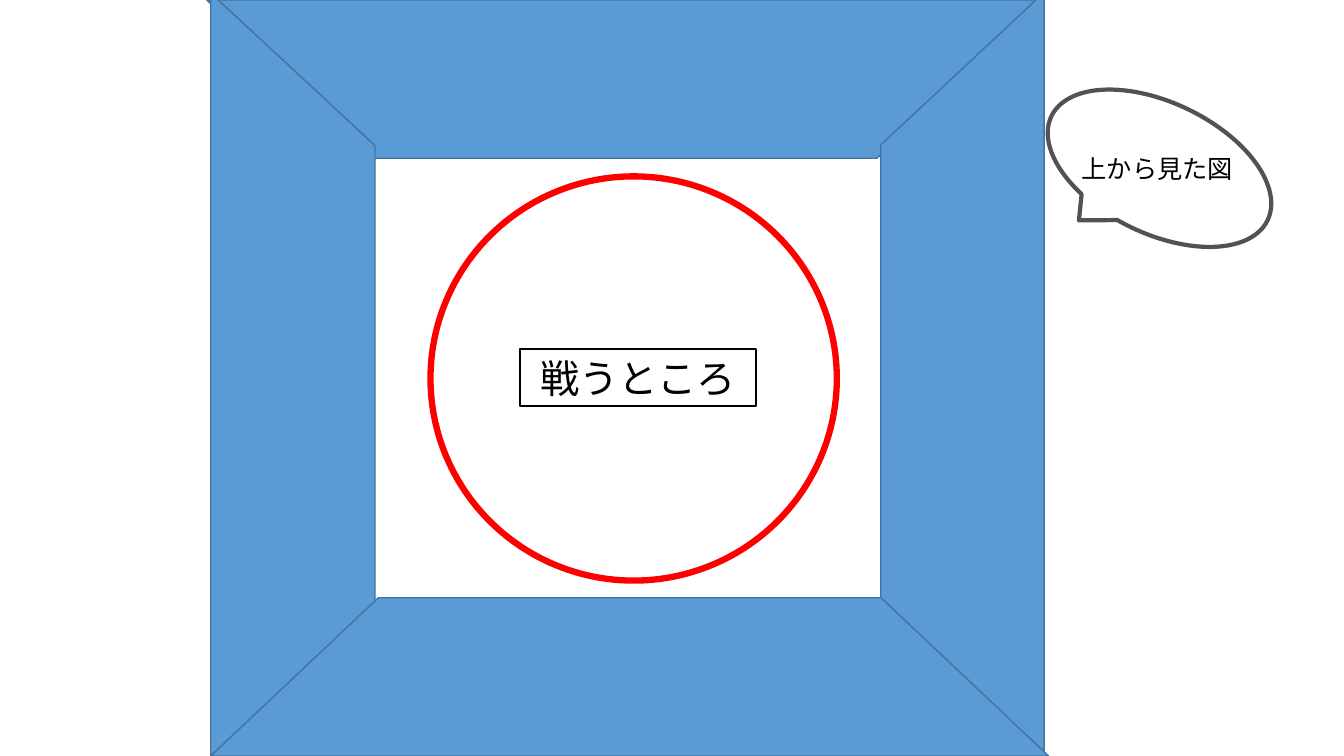
import dataclasses

import lxml.etree
import pptx
import pptx.dml.color
import pptx.enum.shapes
import pptx.enum.text
import pptx.oxml.ns
import pptx.util

Inches = pptx.util.Inches
Preset = pptx.enum.shapes.MSO_SHAPE
Align = pptx.enum.text.PP_ALIGN


@dataclasses.dataclass(frozen=True)
class Theme:
    font: str = "Noto Sans CJK JP"
    text: str = "000000"
    wall: str = "5B9BD5"
    wall_edge: str = "43739E"
    ring: str = "FF0000"
    bubble: str = "525252"
    label_size: int = 28
    note_size: int = 18


class SlideBuilder:
    def __init__(self, page, theme):
        self.page = page
        self.theme = theme

    def shape(self, preset, left, top, width, height, line, weight, fill=None, turn=0):
        item = self.page.shapes.add_shape(
            preset, Inches(left), Inches(top), Inches(width), Inches(height))
        item.shadow.inherit = False
        item.rotation = turn
        if fill:
            item.fill.solid()
            item.fill.fore_color.rgb = pptx.dml.color.RGBColor.from_string(fill)
        else:
            item.fill.background()
        item.line.color.rgb = pptx.dml.color.RGBColor.from_string(line)
        item.line.width = pptx.util.Pt(weight)
        return item

    def wall(self, left, top, width, height, turn):
        return self.shape(Preset.FLOWCHART_MANUAL_OPERATION, left, top, width, height,
                          self.theme.wall_edge, 1, self.theme.wall, turn)

    def add_words(self, box, words, size, align):
        frame = box.text_frame
        frame.word_wrap = True
        frame.auto_size = pptx.enum.text.MSO_AUTO_SIZE.SHAPE_TO_FIT_TEXT
        para = frame.paragraphs[0]
        para.alignment = align
        span = para.add_run()
        span.text = words
        span.font.size = pptx.util.Pt(size)
        span.font.name = self.theme.font
        span.font.color.rgb = pptx.dml.color.RGBColor.from_string(self.theme.text)
        # Japanese characters take the East Asian typeface
        east_asian = lxml.etree.SubElement(
            span._r.get_or_add_rPr(), pptx.oxml.ns.qn("a:ea"))
        east_asian.set("typeface", self.theme.font)

    def text(self, left, top, width, height, words, size):
        box = self.page.shapes.add_textbox(
            Inches(left), Inches(top), Inches(width), Inches(height))
        self.add_words(box, words, size, Align.LEFT)


deck = pptx.Presentation()
deck.slide_width = Inches(13.33)
deck.slide_height = Inches(7.5)
theme = Theme()
builder = SlideBuilder(deck.slides.add_slide(deck.slide_layouts[6]), theme)

# Top, left and right walls
builder.wall(2.05, 0, 8.31, 1.57, 0)
builder.wall(-0.88, 2.9, 7.57, 1.63, 270)
builder.wall(5.76, 2.9, 7.57, 1.62, 90)

# Fighting ring and its label
builder.shape(Preset.OVAL, 4.27, 1.75, 4.03, 4.01, theme.ring, 4.5)
label = builder.shape(Preset.RECTANGLE, 5.16, 3.46, 2.34, 0.57, theme.text, 1.5)
builder.add_words(label, "戦うところ", theme.label_size, Align.CENTER)

# Bottom wall
builder.wall(2.09, 5.93, 8.31, 1.57, 180)

# Speech bubble naming the view
builder.shape(Preset.OVAL_CALLOUT, 10.31, 1.02, 2.38, 1.3, theme.bubble, 3, turn=25.7)
builder.text(10.63, 1.47, 1.75, 0.4, "上から見た図", theme.note_size)

deck.save("out.pptx")
